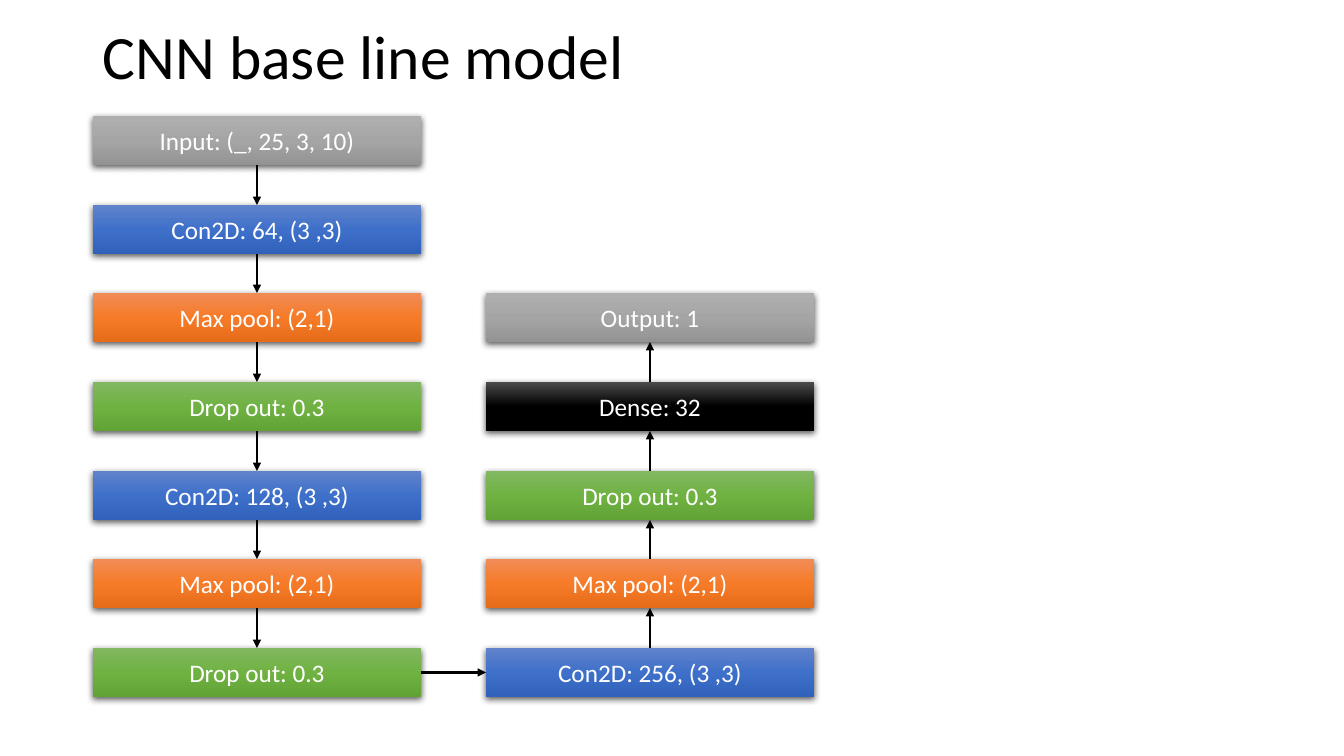
import lxml.etree
import pptx
import pptx.dml.color
import pptx.enum.shapes
import pptx.enum.text
import pptx.oxml.ns
import pptx.util

EMU_PER_PX = 914400 / 100.8
FONT = "Calibri"
BLACK, WHITE = "000000", "FFFFFF"
TOP, SPAN, LAST_ROW = 116, 532, 6
LAYER_WIDTH, LAYER_HEIGHT = 328, 49
ENCODER_LEFT, HEAD_LEFT = 93, 486
TOP_SITE, LEFT_SITE, BOTTOM_SITE, RIGHT_SITE = range(4)

GRADIENTS = {
    "end": ("AFAFAF", "A5A5A5", "939393"),
    "conv": ("6183CB", "3E70CA", "3062BB"),
    "pool": ("F18C57", "F67B28", "E56C19"),
    "drop": ("81B861", "6FB242", "62A336"),
    "dense": ("4B4B4B", "000000", "000000"),
}
ENCODER = [
    ("Input: (_, 25, 3, 10)", "end"),
    ("Con2D: 64, (3 ,3)", "conv"),
    ("Max pool: (2,1)", "pool"),
    ("Drop out: 0.3", "drop"),
    ("Con2D: 128, (3 ,3)", "conv"),
    ("Max pool: (2,1)", "pool"),
    ("Drop out: 0.3", "drop"),
]
HEAD = [
    ("Con2D: 256, (3 ,3)", "conv"),
    ("Max pool: (2,1)", "pool"),
    ("Drop out: 0.3", "drop"),
    ("Dense: 32", "dense"),
    ("Output: 1", "end"),
]


def px(length):
    """Turn pixels into EMU."""
    return pptx.util.Emu(round(length * EMU_PER_PX))


def color(value):
    """Turn a hex string into an RGB colour."""
    return pptx.dml.color.RGBColor.from_string(value)


def add_xml(parent, tag, **attributes):
    """Append a DrawingML element and return it."""
    return lxml.etree.SubElement(parent, pptx.oxml.ns.qn(tag), attributes)


def write(frame, text, size, ink, align):
    """Fill a text frame with one vertically centred paragraph."""
    frame.text = text
    frame.word_wrap = True
    frame.vertical_anchor = pptx.enum.text.MSO_ANCHOR.MIDDLE
    paragraph = frame.paragraphs[0]
    paragraph.alignment = align
    font = paragraph.runs[0].font
    font.name = FONT
    font.size = pptx.util.Pt(size)
    font.color.rgb = color(ink)


def add_title(slide, text):
    """Add the slide heading."""
    heading = slide.shapes.add_textbox(px(93), px(20), px(1159), px(80))
    write(heading.text_frame, text, 44, BLACK, pptx.enum.text.PP_ALIGN.LEFT)
    heading.text_frame.paragraphs[0].line_spacing = 0.9


def shade(layer, stops):
    """Give a layer its vertical three-stop gradient."""
    layer.fill.gradient()
    layer.fill.gradient_angle = 270
    stop_list = layer.fill._xPr.find(".//" + pptx.oxml.ns.qn("a:gsLst"))
    for stop in list(stop_list):
        stop_list.remove(stop)
    for index, value in enumerate(stops):
        stop = add_xml(stop_list, "a:gs", pos=str(index * 50000))
        add_xml(stop, "a:srgbClr", val=value)


def cast_shadow(layer):
    """Give a layer a soft shadow below it."""
    layer.shadow.inherit = False
    effects = layer._element.spPr.find(pptx.oxml.ns.qn("a:effectLst"))
    shadow = add_xml(effects, "a:outerShdw", blurRad="57150", dist="19050",
                     dir="5400000", algn="ctr", rotWithShape="0")
    tint = add_xml(shadow, "a:srgbClr", val=BLACK)
    add_xml(tint, "a:alpha", val="63000")


def add_layer(slide, left, row, text, kind):
    """Add one network layer in a row of the grid."""
    top = round(TOP + SPAN * row / LAST_ROW)
    layer = slide.shapes.add_shape(
        pptx.enum.shapes.MSO_SHAPE.RECTANGLE,
        px(left), px(top), px(LAYER_WIDTH), px(LAYER_HEIGHT))
    shade(layer, GRADIENTS[kind])
    layer.line.fill.background()
    cast_shadow(layer)
    write(layer.text_frame, text, 18, WHITE, pptx.enum.text.PP_ALIGN.CENTER)
    return layer


def add_arrow(slide, source, source_site, target, target_site):
    """Connect two layers with an arrow."""
    arrow = slide.shapes.add_connector(
        pptx.enum.shapes.MSO_CONNECTOR.STRAIGHT, 0, 0, 0, 0)
    arrow.begin_connect(source, source_site)
    arrow.end_connect(target, target_site)
    arrow.line.color.rgb = color(BLACK)
    arrow.line.width = pptx.util.Pt(1.5)
    add_xml(arrow.line._get_or_add_ln(), "a:tailEnd", type="triangle")
    add_xml(arrow._element.spPr, "a:effectLst")


def add_column(slide, left, first_row, step, contents, exit_site, entry_site):
    """Add a column of layers joined in order."""
    layers = [add_layer(slide, left, first_row + step * index, text, kind)
              for index, (text, kind) in enumerate(contents)]
    for source, target in zip(layers, layers[1:]):
        add_arrow(slide, source, exit_site, target, entry_site)
    return layers


def main():
    """Build the slide with the network diagram."""
    deck = pptx.Presentation()
    deck.slide_width, deck.slide_height = px(1344), px(756)
    slide = deck.slides.add_slide(deck.slide_layouts[6])
    add_title(slide, "CNN base line model")
    encoder = add_column(slide, ENCODER_LEFT, 0, 1, ENCODER,
                         BOTTOM_SITE, TOP_SITE)
    head = add_column(slide, HEAD_LEFT, LAST_ROW, -1, HEAD,
                      TOP_SITE, BOTTOM_SITE)
    add_arrow(slide, encoder[-1], RIGHT_SITE, head[0], LEFT_SITE)
    deck.save("out.pptx")


if __name__ == "__main__":
    main()
